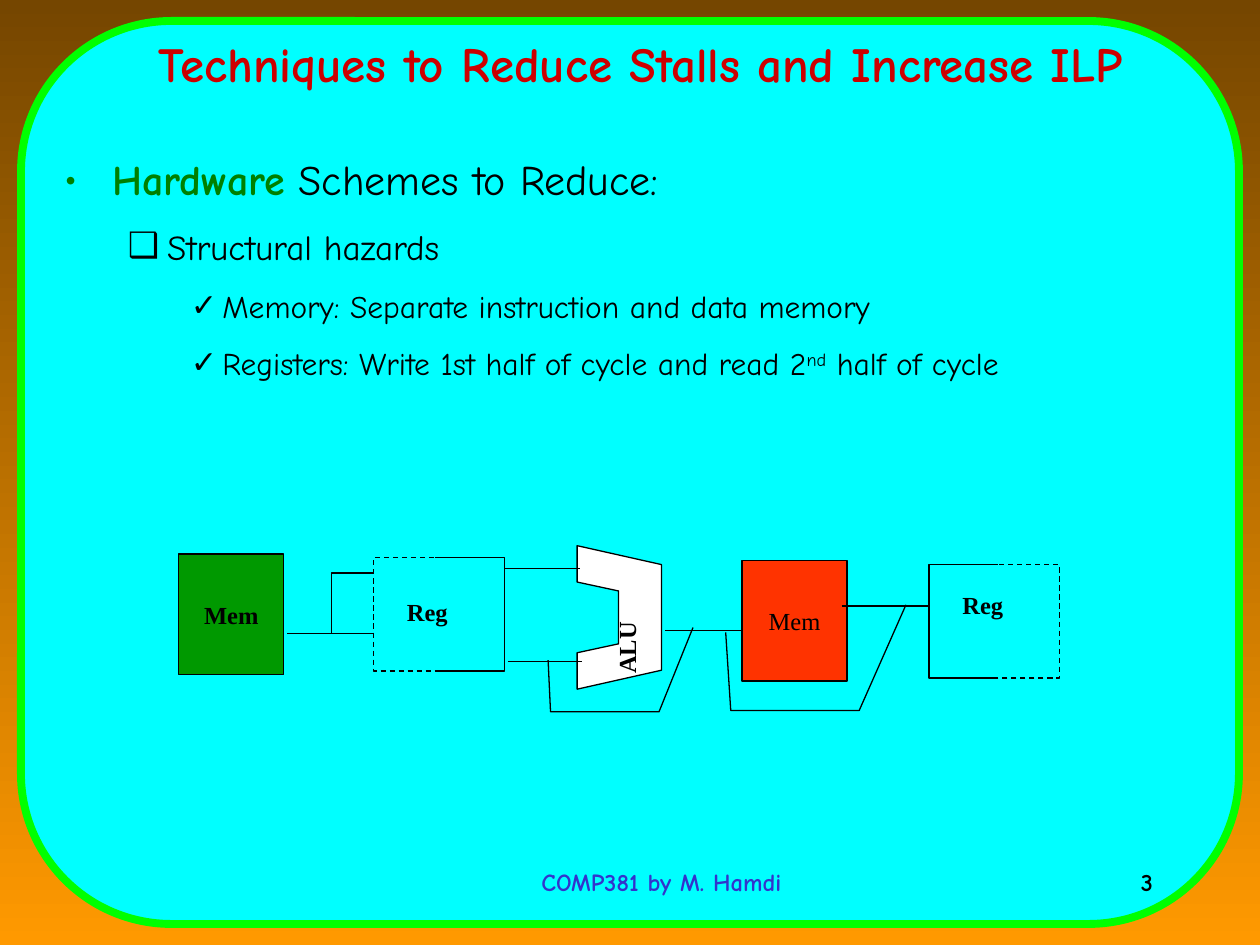
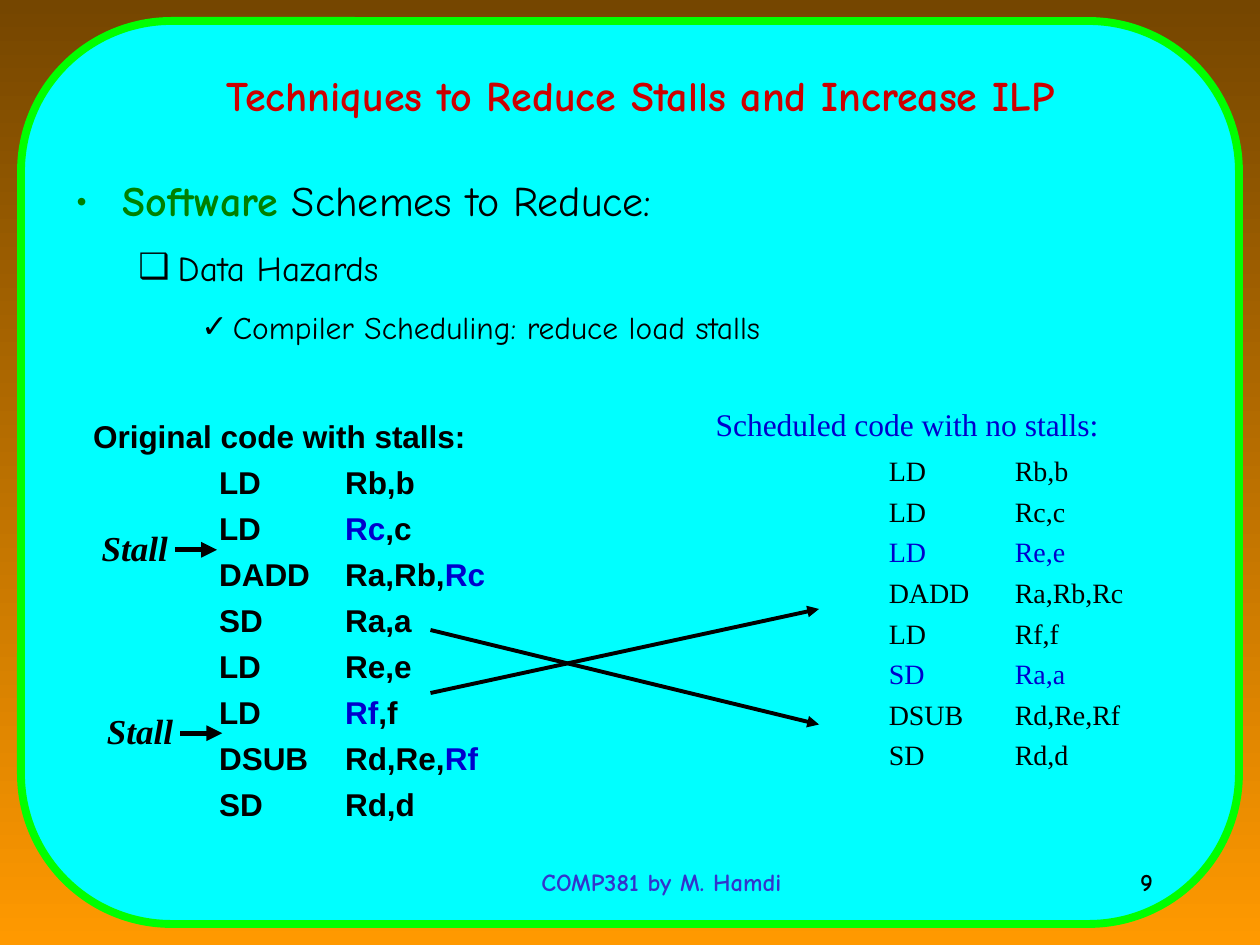
from lxml import etree
from pptx import Presentation
from pptx.dml.color import RGBColor
from pptx.enum.dml import MSO_LINE
from pptx.enum.shapes import MSO_CONNECTOR, MSO_SHAPE
from pptx.enum.text import MSO_ANCHOR, MSO_AUTO_SIZE, PP_ALIGN
from pptx.oxml.ns import qn
from pptx.util import Pt

LEFT, CENTER, RIGHT, JUSTIFY = PP_ALIGN.LEFT, PP_ALIGN.CENTER, PP_ALIGN.RIGHT, PP_ALIGN.JUSTIFY
TOP, MIDDLE = MSO_ANCHOR.TOP, MSO_ANCHOR.MIDDLE
PANEL, RECTANGLE = MSO_SHAPE.FLOWCHART_ALTERNATE_PROCESS, MSO_SHAPE.RECTANGLE
STRAIGHT, DASH = MSO_CONNECTOR.STRAIGHT, MSO_LINE.DASH
NO_FIT = MSO_AUTO_SIZE.NONE

COLORS = {
    "sky_top": "754600", "sky_bottom": "FF9900", "panel": "00FFFF", "border": "00FF00",
    "title": "CC0000", "footer": "3333CC", "keyword": "008000", "highlight": "0000CC",
    "black": "000000", "white": "FFFFFF", "fetch": "009900", "data": "FF3300",
}
COMIC, TIMES, ARIAL = "Comic Neue", "Times New Roman", "Arial"
TITLE = "Techniques to Reduce Stalls and Increase ILP"
# Outline levels: bullet, left margin, hanging indent, space before, text size
LEVELS = [("•", 27, 27, 15, 24), ("❑", 58.5, 22.5, 12.5, 20), ("✓", 90, 18, 11.2, 18)]
BLUE = {"color": "highlight"}


def rgb(name):
    return RGBColor.from_string(COLORS[name])


def add_run(paragraph, text, size=14, font=TIMES, color="black", bold=False,
            italic=False, superscript=False):
    run = paragraph.add_run()
    run.text = text
    run.font.size, run.font.name = Pt(size), font
    run.font.bold, run.font.italic = bold, italic
    run.font.color.rgb = rgb(color)
    if superscript:
        run.font._element.set("baseline", "30000")


def add_pieces(paragraph, pieces, **style):
    """Write strings, or (string, format changes) pairs, one run each."""
    for piece in pieces:
        text, changes = (piece, {}) if isinstance(piece, str) else piece
        add_run(paragraph, text, **{**style, **changes})


def set_bullet(paragraph, character, margin, hanging, color):
    properties = paragraph._p.get_or_add_pPr()
    properties.set("marL", str(Pt(margin)))
    properties.set("indent", str(-Pt(hanging)))
    bullet_color = etree.SubElement(properties, qn("a:buClr"))
    etree.SubElement(bullet_color, qn("a:srgbClr"), val=COLORS[color])
    etree.SubElement(properties, qn("a:buFont"), typeface=COMIC)
    etree.SubElement(properties, qn("a:buChar"), char=character)


def set_tabs(paragraph, positions):
    tabs = etree.SubElement(paragraph._p.get_or_add_pPr(), qn("a:tabLst"))
    for position in positions:
        etree.SubElement(tabs, qn("a:tab"), pos=str(Pt(position)), algn="l")


class Deck:
    def __init__(self):
        self.presentation = Presentation()
        self.presentation.slide_width, self.presentation.slide_height = Pt(720), Pt(540)
        self.slide = None

    def add_slide(self, number, title_top, title_size):
        self.slide = self.presentation.slides.add_slide(self.presentation.slide_layouts[6])
        fill = self.slide.background.fill
        fill.gradient()
        fill.gradient_angle = 270
        for stop, name in zip(fill.gradient_stops, ("sky_top", "sky_bottom")):
            stop.color.rgb = rgb(name)
        self.shape(PANEL, 12, 12, 696, 516, "panel", "border", 4.5)
        self.text("COMP381 by M. Hamdi", 264, 492, 228, 36, align=CENTER,
                  font=COMIC, color="footer", bold=True)
        self.text(TITLE, 42, title_top, 648, 72, align=CENTER, anchor=MIDDLE,
                  size=title_size, font=COMIC, color="title", bold=True)
        self.text(str(number), 516, 492, 150, 36, align=RIGHT, font=COMIC, bold=True)

    def shape(self, kind, left, top, width, height, fill, line="black", weight=0.75):
        shape = self.slide.shapes.add_shape(kind, Pt(left), Pt(top), Pt(width), Pt(height))
        self.paint(shape, fill, line, weight)
        return shape

    def paint(self, shape, fill=None, line="black", weight=0.75):
        shape.shadow.inherit = False
        if fill:
            shape.fill.solid()
            shape.fill.fore_color.rgb = rgb(fill)
        else:
            shape.fill.background()
        shape.line.color.rgb = rgb(line)
        shape.line.width = Pt(weight)

    def frame(self, left, top, width, height, anchor=TOP):
        box = self.slide.shapes.add_textbox(Pt(left), Pt(top), Pt(width), Pt(height))
        box.text_frame.word_wrap = True
        box.text_frame.auto_size = NO_FIT
        box.text_frame.vertical_anchor = anchor
        return box

    def text(self, text, left, top, width, height, align=LEFT, anchor=TOP, rotation=0, **style):
        box = self.frame(left, top, width, height, anchor)
        box.rotation = rotation
        paragraph = box.text_frame.paragraphs[0]
        paragraph.alignment = align
        add_run(paragraph, text, **style)

    def outline(self, left, top, height, keyword, rows):
        """Green keyword heading, then (level, pieces) rows."""
        heading = (0, [(keyword, {"color": "keyword", "bold": True}), " Schemes to Reduce:"])
        text_frame = self.frame(left, top, 648, height).text_frame
        for index, (level, pieces) in enumerate([heading, *rows]):
            paragraph = text_frame.add_paragraph() if index else text_frame.paragraphs[0]
            character, margin, hanging, space, size = LEVELS[level]
            set_bullet(paragraph, character, margin, hanging, "black" if level else "keyword")
            paragraph.alignment = JUSTIFY
            if index:
                paragraph.space_before = Pt(space)
            add_pieces(paragraph, pieces, size=size, font=COMIC)

    def code(self, left, top, width, height, heading, rows, tabs, space,
             heading_style=None, heading_gap=0, line_spacing=1.0, **style):
        text_frame = self.frame(left, top, width, height).text_frame
        paragraph = text_frame.paragraphs[0]
        paragraph.line_spacing = line_spacing
        paragraph.space_after = Pt(heading_gap)
        add_run(paragraph, heading, **{**style, **(heading_style or {})})
        for pieces in rows:
            paragraph = text_frame.add_paragraph()
            set_tabs(paragraph, tabs)
            paragraph.line_spacing = line_spacing
            paragraph.space_before = Pt(space)
            add_pieces(paragraph, pieces, **style)

    def path_line(self, points, fill=None, close=False, dashed=False):
        corners = [(Pt(x), Pt(y)) for x, y in points]
        builder = self.slide.shapes.build_freeform(*corners[0], scale=1.0)
        builder.add_line_segments(corners[1:], close=close)
        shape = builder.convert_to_shape()
        self.paint(shape, fill)
        if dashed:
            shape.line.dash_style = DASH

    def line(self, x1, y1, x2, y2, weight=0.75, arrow=False):
        connector = self.slide.shapes.add_connector(STRAIGHT, Pt(x1), Pt(y1), Pt(x2), Pt(y2))
        connector.line.color.rgb = rgb("black")
        connector.line.width = Pt(weight)
        if arrow:
            etree.SubElement(connector.line._get_or_add_ln(), qn("a:tailEnd"), type="triangle")
        etree.SubElement(connector._element.spPr, qn("a:effectLst"))

    def memory(self, left, top, fill, bold):
        shape = self.shape(RECTANGLE, left, top, 60, 69, fill)
        shape.text_frame.word_wrap = False
        shape.text_frame.vertical_anchor = MIDDLE
        paragraph = shape.text_frame.paragraphs[0]
        paragraph.alignment = CENTER
        add_run(paragraph, "Mem", bold=bold)

    def register(self, left, top, label_x, label_y, dashed_left):
        """Two open halves that overlap a little, one of them dashed."""
        right, bottom, reach = left + 74.5, top + 65, 39.5
        for outer, inner, is_left in ((left, left + reach, True), (right, right - reach, False)):
            self.path_line([(inner, top), (outer, top), (outer, bottom), (inner, bottom)],
                           dashed=is_left == dashed_left)
        self.text("Reg", label_x, label_y, 45, 24.5, bold=True)

    def alu(self, left, middle):
        upper = [(48.2, -30.2), (0, -41), (0, -20.2), (23.7, -15.1)]
        lower = [(x, -y) for x, y in reversed(upper)]
        self.path_line([(left + x, middle + y) for x, y in upper + lower],
                       fill="white", close=True)
        self.text("ALU", left + 4.4, middle + 3, 48, 24.5, rotation=270, bold=True)

    def stall(self, left, top):
        self.text("Stall", left, top, 64, 31.7, size=20, bold=True, italic=True)
        self.line(left + 49, top + 17, left + 73, top + 17, 3, arrow=True)


def build_hardware_slide(deck):
    deck.add_slide(3, 0, 28)
    deck.outline(30, 84, 210, "Hardware", [
        (1, ["Structural hazards"]),
        (2, ["Memory: Separate instruction and data memory"]),
        (2, ["Registers: Write 1st half of cycle and read 2", ("nd", {"superscript": True}),
             " half of cycle"]),
    ])
    deck.memory(102.2, 316.6, "fetch", True)
    deck.alu(329.8, 352.8)
    deck.register(213.6, 318.4, 225.4, 337.7, dashed_left=True)
    deck.memory(424, 320.2, "data", False)
    deck.register(530.8, 322.4, 542.9, 333.4, dashed_left=False)
    for start, end, y in ((164.2, 213.8, 362.2), (288.6, 331.2, 324.7), (290.2, 332.6, 378),
                          (380.2, 423.4, 360.5), (481, 530.6, 346.3)):
        deck.line(start, y, end, y)
    register_input = [(189.4, 362.2), (189.4, 327.4), (213.8, 327.4)]
    alu_bypass = [(313.2, 377.3), (314.6, 406.8), (376.6, 406.8), (396, 358.6)]
    memory_bypass = [(414.7, 361.4), (417.6, 406), (491, 406), (517.7, 345.6)]
    for wire in (register_input, alu_bypass, memory_bypass):
        deck.path_line(wire)


def build_software_slide(deck):
    deck.add_slide(9, 18, 24)
    deck.outline(36, 96, 390, "Software", [
        (1, ["Data Hazards"]),
        (2, ["Compiler Scheduling: reduce load stalls"]),
    ])
    deck.code(401.8, 228.2, 282.2, 234.7, "Scheduled code with no stalls:", [
        ["\tLD\tRb,b"],
        ["\tLD\tRc,c"],
        [("\tLD\tRe,e", BLUE)],
        ["\tDADD\tRa,Rb,Rc"],
        ["\tLD\tRf,f"],
        [("\tSD\tRa,a", BLUE)],
        ["\tDSUB\tRd,Re,Rf"],
        ["\tSD\tRd,d"],
    ], tabs=(99, 171), space=4, heading_style={"size": 18, **BLUE}, heading_gap=2, size=16)
    deck.code(46.1, 237.2, 238.3, 257.8, "Original code with stalls:", [
        ["\tLD\tRb,b"],
        ["\tLD\t", ("Rc", BLUE), ",c"],
        ["\tDADD\tRa,Rb,", ("Rc", BLUE)],
        ["\tSD\tRa,a"],
        ["\tLD\tRe,e"],
        ["\tLD\t", ("Rf", BLUE), ",f"],
        ["\tDSUB\tRd,Re,", ("Rf", BLUE)],
        ["\tSD\tRd,d"],
    ], tabs=(72, 144), space=6.8, line_spacing=0.9, size=18, font=ARIAL, bold=True)
    deck.line(246, 396, 468, 348, 2.25, arrow=True)
    deck.line(246, 360, 468, 414, 2.25, arrow=True)
    deck.stall(54, 402)
    deck.stall(51, 297.2)


def main():
    deck = Deck()
    build_hardware_slide(deck)
    build_software_slide(deck)
    deck.presentation.save("out.pptx")


if __name__ == "__main__":
    main()
